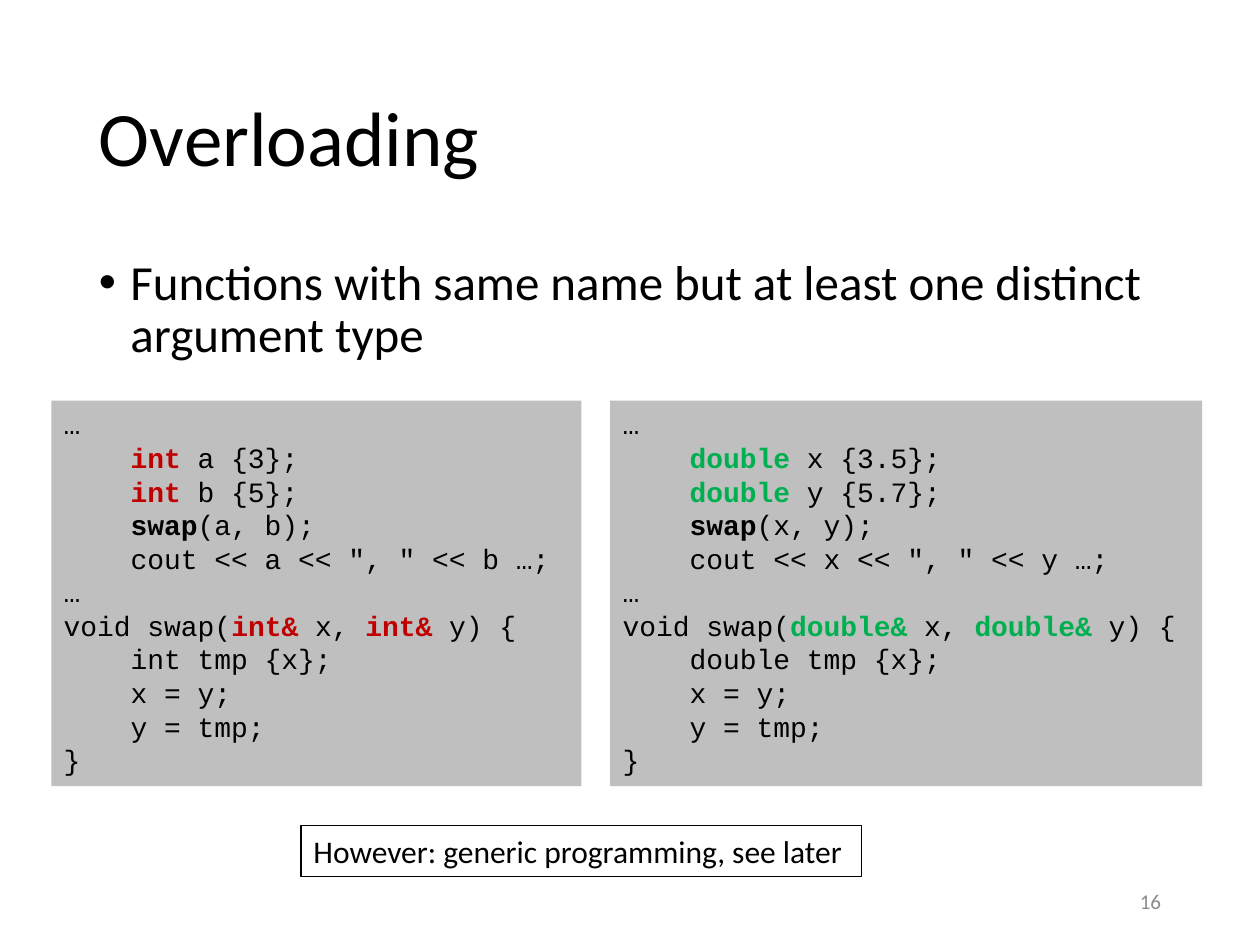
from lxml.etree import SubElement
from pptx import Presentation
from pptx.dml.color import RGBColor
from pptx.enum.shapes import MSO_SHAPE
from pptx.enum.text import MSO_ANCHOR, PP_ALIGN
from pptx.oxml.ns import qn
from pptx.util import Pt

BLACK, GREY, PANEL = "000000", "8C8C8C", "BFBFBF"
RED, GREEN = "C00000", "00B050"


def color(code):
    """Turn a hex string into a colour."""
    return RGBColor.from_string(code)


class Deck:
    """Hold the style and the current slide."""

    sans, mono = "Calibri", "Courier New"

    def __init__(self):
        """Start a deck with one blank slide."""
        self.prs = Presentation()
        self.prs.slide_width, self.prs.slide_height = Pt(720), Pt(540)
        self.slide = self.prs.slides.add_slide(self.prs.slide_layouts[6])

    def style(self, font, size, name, code=BLACK, bold=False):
        """Set the look of a font."""
        font.size, font.name, font.bold = Pt(size), name, bold
        font.color.rgb = color(code)

    def text(self, box, words, size, code=BLACK, anchor=MSO_ANCHOR.TOP,
             align=PP_ALIGN.LEFT, space=1.0):
        """Add a text box with one paragraph and return the paragraph."""
        frame = self.slide.shapes.add_textbox(*map(Pt, box)).text_frame
        frame.word_wrap, frame.vertical_anchor = True, anchor
        frame.text = words
        para = frame.paragraphs[0]
        para.alignment, para.line_spacing = align, space
        self.style(para.runs[0].font, size, self.sans, code)
        return para

    def bullet(self, box, words, size):
        """Add a text box with a bulleted paragraph."""
        props = self.text(box, words, size, space=0.9)._p.get_or_add_pPr()
        props.set("marL", str(Pt(18)))
        props.set("indent", str(-Pt(18)))
        SubElement(props, qn("a:buFont")).set("typeface", "Arial")
        SubElement(props, qn("a:buChar")).set("char", "•")

    def rect(self, box):
        """Add a plain rectangle ready for left-aligned text."""
        shape = self.slide.shapes.add_shape(MSO_SHAPE.RECTANGLE, *map(Pt, box))
        shape.shadow.inherit = False
        shape.text_frame.vertical_anchor = MSO_ANCHOR.TOP
        return shape

    def code(self, box, lines, kind, tint):
        """Add a code panel where stars mark bold parts and types are tinted."""
        shape = self.rect(box)
        shape.fill.solid()
        shape.fill.fore_color.rgb = color(PANEL)
        shape.line.fill.background()
        frame = shape.text_frame
        for row, line in enumerate(lines):
            para = frame.add_paragraph() if row else frame.paragraphs[0]
            para.alignment = PP_ALIGN.LEFT
            for spot, part in enumerate(line.split("*")):
                bold = spot % 2 == 1
                run = para.add_run()
                run.text = part
                hue = tint if bold and part.startswith(kind) else BLACK
                self.style(run.font, 16, self.mono, hue, bold)

    def note(self, box, words, size):
        """Add an outlined box with one line of text."""
        shape = self.rect(box)
        shape.fill.background()
        shape.line.color.rgb = color(BLACK)
        shape.line.width = Pt(0.75)
        shape.text_frame.text = words
        para = shape.text_frame.paragraphs[0]
        para.alignment = PP_ALIGN.LEFT
        self.style(para.runs[0].font, size, self.sans)


def sample(kind, one, two, first, second):
    """Return the swap listing for one type."""
    return [
        "…",
        f"    *{kind}* {one} {{{first}}};",
        f"    *{kind}* {two} {{{second}}};",
        f"    *swap*({one}, {two});",
        f'    cout << {one} << ", " << {two} …;',
        "…",
        f"void swap(*{kind}&* x, *{kind}&* y) {{",
        f"    {kind} tmp {{x}};",
        "    x = y;",
        "    y = tmp;",
        "}",
    ]


def main():
    """Build the slide and save it."""
    deck = Deck()
    deck.text((49.5, 28.75, 621, 104.4), "Overloading", 44,
              anchor=MSO_ANCHOR.MIDDLE, space=0.9)
    deck.bullet((49.5, 143.75, 621, 342.6), "Functions with same name but at "
                "least one distinct argument type", 28)
    deck.text((508.5, 500.5, 162, 28.75), "16", 12, GREY,
              MSO_ANCHOR.MIDDLE, PP_ALIGN.RIGHT)
    top, high = 229, 220.3
    deck.code((29.3, top, 303, high), sample("int", "a", "b", 3, 5),
              "int", RED)
    deck.code((348.7, top, 338.3, high), sample("double", "x", "y", 3.5, 5.7),
              "double", GREEN)
    deck.note((172, 471.6, 320.4, 29.1),
              "However: generic programming, see later", 18)
    deck.prs.save("out.pptx")


if __name__ == "__main__":
    main()
